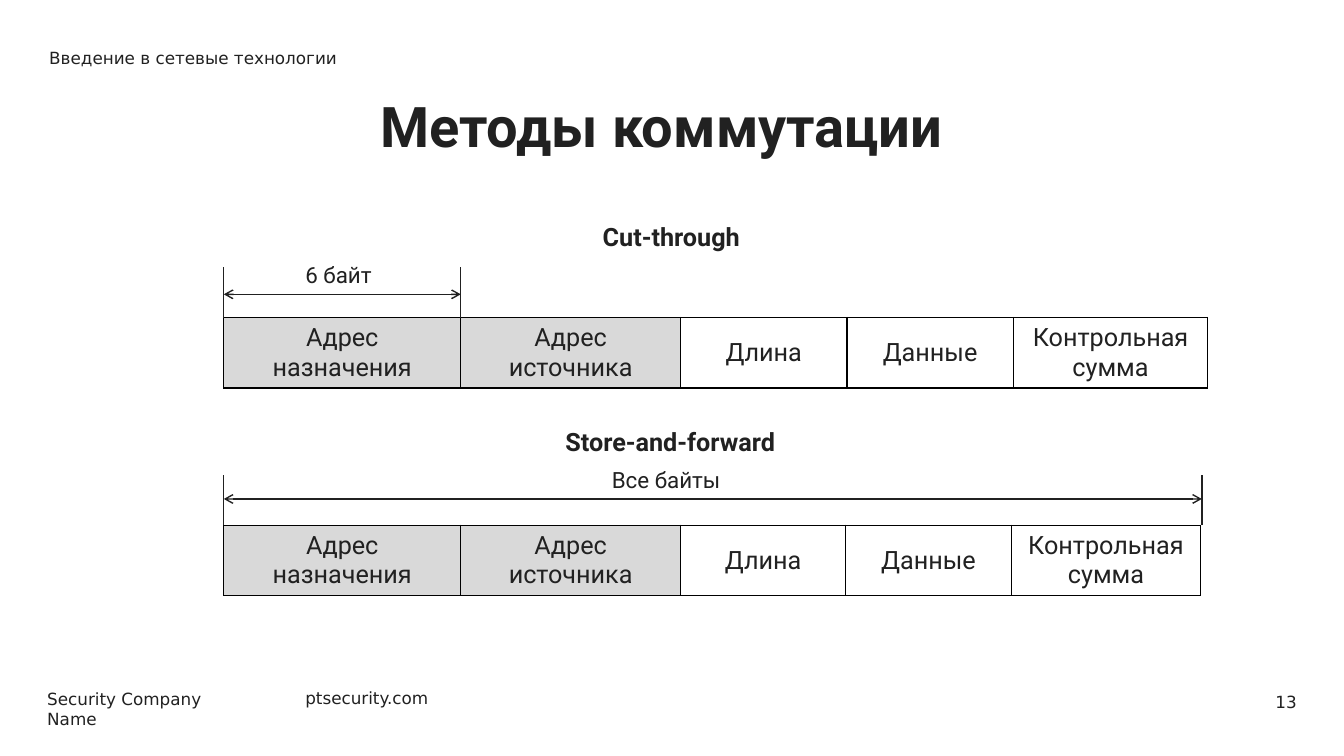
"""Build a slide comparing the cut-through and store-and-forward switching methods."""
import dataclasses

import lxml.etree
import pptx
import pptx.dml.color
import pptx.enum.shapes
import pptx.enum.text
import pptx.oxml.ns
import pptx.shapes.autoshape
import pptx.shapes.connector
import pptx.slide
import pptx.table
import pptx.util

Inches = pptx.util.Inches
Pt = pptx.util.Pt
qn = pptx.oxml.ns.qn
Align = pptx.enum.text.PP_ALIGN
Anchor = pptx.enum.text.MSO_ANCHOR

INK = pptx.dml.color.RGBColor(0x21, 0x21, 0x21)
ADDRESS_GREY = pptx.dml.color.RGBColor(0xD9, 0xD9, 0xD9)
BORDER_HEX = "000000"
HEADING_FONT = "Roboto"
FOOTER_FONT = "DejaVu Sans"

FIELDS = ("Адрес назначения", "Адрес источника", "Длина", "Данные", "Контрольная сумма")
ADDRESS_FIELDS = 2
FRAME_LEFT = 2.22
FRAME_HEIGHT = 0.7
TICK_HEIGHT = 0.5


@dataclasses.dataclass(frozen=True)
class Label:
    text: str
    left: float
    top: float
    width: float
    height: float
    size: int = 12
    font: str = FOOTER_FONT
    bold: bool = False
    align: Align = Align.LEFT
    anchor: Anchor = Anchor.TOP


@dataclasses.dataclass(frozen=True)
class Method:
    heading: Label
    span: Label
    frame_top: float
    arrow_top: float
    span_right: float
    widths: tuple[float, ...]


LABELS = (
    Label("Security Company Name", 0.37, 6.78, 2.2, 0.3),
    Label("ptsecurity.com", 2.93, 6.77, 1.44, 0.3),
    Label("Введение в сетевые технологии", 0.39, 0.37, 10.33, 0.4, anchor=Anchor.MIDDLE),
    Label("13", 10.72, 6.76, 2.24, 0.4, align=Align.RIGHT, anchor=Anchor.MIDDLE),
)
TITLE = Label("Методы коммутации", 3.67, 0.86, 6.99, 1.2, 40, HEADING_FONT, True)
METHODS = (
    Method(
        Label("Cut-through", 5.88, 2.15, 1.74, 0.4, 18, HEADING_FONT, True),
        Label("6 байт", 2.93, 2.54, 0.91, 0.37, 16, HEADING_FONT),
        3.15, 2.92, 4.57, (2.35, 2.18, 1.65, 1.65, 1.93),
    ),
    Method(
        Label("Store-and-forward", 5.51, 4.18, 2.66, 0.4, 18, HEADING_FONT, True),
        Label("Все байты", 5.97, 4.58, 1.39, 0.37, 16, HEADING_FONT),
        5.21, 4.95, 11.92, (2.35, 2.18, 1.64, 1.64, 1.88),
    ),
)


def write_label(shape: pptx.shapes.autoshape.Shape, label: Label) -> None:
    """Put the text of a label into a shape and format it."""
    frame = shape.text_frame
    frame.text = label.text
    frame.word_wrap = True
    frame.auto_size = pptx.enum.text.MSO_AUTO_SIZE.NONE
    frame.vertical_anchor = label.anchor
    format_paragraph(frame.paragraphs[0], label.size, label.font, label.bold, label.align)


def format_paragraph(paragraph, size: int, font: str, bold: bool, align: Align) -> None:
    """Set the alignment and font of a paragraph."""
    paragraph.alignment = align
    paragraph.font.size = Pt(size)
    paragraph.font.name = font
    paragraph.font.bold = bold
    paragraph.font.color.rgb = INK


def add_label(slide: pptx.slide.Slide, label: Label) -> None:
    """Add a text box for a label."""
    box = (label.left, label.top, label.width, label.height)
    write_label(slide.shapes.add_textbox(*map(Inches, box)), label)


def add_title(slide: pptx.slide.Slide) -> None:
    """Place and format the title placeholder."""
    title = slide.shapes.title
    title.left, title.top = Inches(TITLE.left), Inches(TITLE.top)
    title.width, title.height = Inches(TITLE.width), Inches(TITLE.height)
    write_label(title, TITLE)
    title.text_frame.paragraphs[0].line_spacing = Pt(48)


def add_line(slide: pptx.slide.Slide, start: tuple[float, float],
             end: tuple[float, float], arrows: bool = False) -> None:
    """Draw a thin line, with arrowheads at both ends if asked."""
    connector = slide.shapes.add_connector(
        pptx.enum.shapes.MSO_CONNECTOR.STRAIGHT, *map(Inches, start + end))
    connector.line.color.rgb = INK
    connector.line.width = Pt(1)
    properties = connector._element.spPr
    if arrows:
        for end_tag in ("a:headEnd", "a:tailEnd"):
            lxml.etree.SubElement(properties.find(qn("a:ln")), qn(end_tag), type="arrow")
    lxml.etree.SubElement(properties, qn("a:effectLst"))


def add_borders(cell: pptx.table._Cell) -> None:
    """Give a cell a solid border on every side."""
    properties = cell._tc.get_or_add_tcPr()
    for side in ("a:lnL", "a:lnR", "a:lnT", "a:lnB"):
        line = lxml.etree.SubElement(properties, qn(side), w=str(Pt(1)))
        fill = lxml.etree.SubElement(line, qn("a:solidFill"))
        lxml.etree.SubElement(fill, qn("a:srgbClr"), val=BORDER_HEX)


def add_frame(slide: pptx.slide.Slide, method: Method) -> None:
    """Draw the fields of a network frame as a one-row table."""
    box = (FRAME_LEFT, method.frame_top, sum(method.widths), FRAME_HEIGHT)
    table = slide.shapes.add_table(1, len(FIELDS), *map(Inches, box)).table
    table.first_row = table.horz_banding = False
    for index, (field, width) in enumerate(zip(FIELDS, method.widths)):
        table.columns[index].width = Inches(width)
        cell = table.cell(0, index)
        cell.text = field
        cell.vertical_anchor = Anchor.MIDDLE
        add_borders(cell)
        if index < ADDRESS_FIELDS:
            cell.fill.solid()
            cell.fill.fore_color.rgb = ADDRESS_GREY
        else:
            cell.fill.background()
        format_paragraph(cell.text_frame.paragraphs[0], 18, HEADING_FONT, False, Align.CENTER)


def add_method(slide: pptx.slide.Slide, method: Method) -> None:
    """Draw a switching method with its frame and the span that is read."""
    add_frame(slide, method)
    for tick in (FRAME_LEFT, method.span_right):
        add_line(slide, (tick, method.frame_top), (tick, method.frame_top - TICK_HEIGHT))
    add_line(slide, (FRAME_LEFT, method.arrow_top), (method.span_right, method.arrow_top), True)
    add_label(slide, method.heading)
    add_label(slide, method.span)


def main() -> None:
    """Build and save the presentation."""
    presentation = pptx.Presentation()
    presentation.slide_width = Inches(13.33)
    presentation.slide_height = Inches(7.5)
    slide = presentation.slides.add_slide(presentation.slide_layouts.get_by_name("Title Only"))
    add_title(slide)
    for label in LABELS:
        add_label(slide, label)
    for method in METHODS:
        add_method(slide, method)
    presentation.save("out.pptx")


if __name__ == "__main__":
    main()
